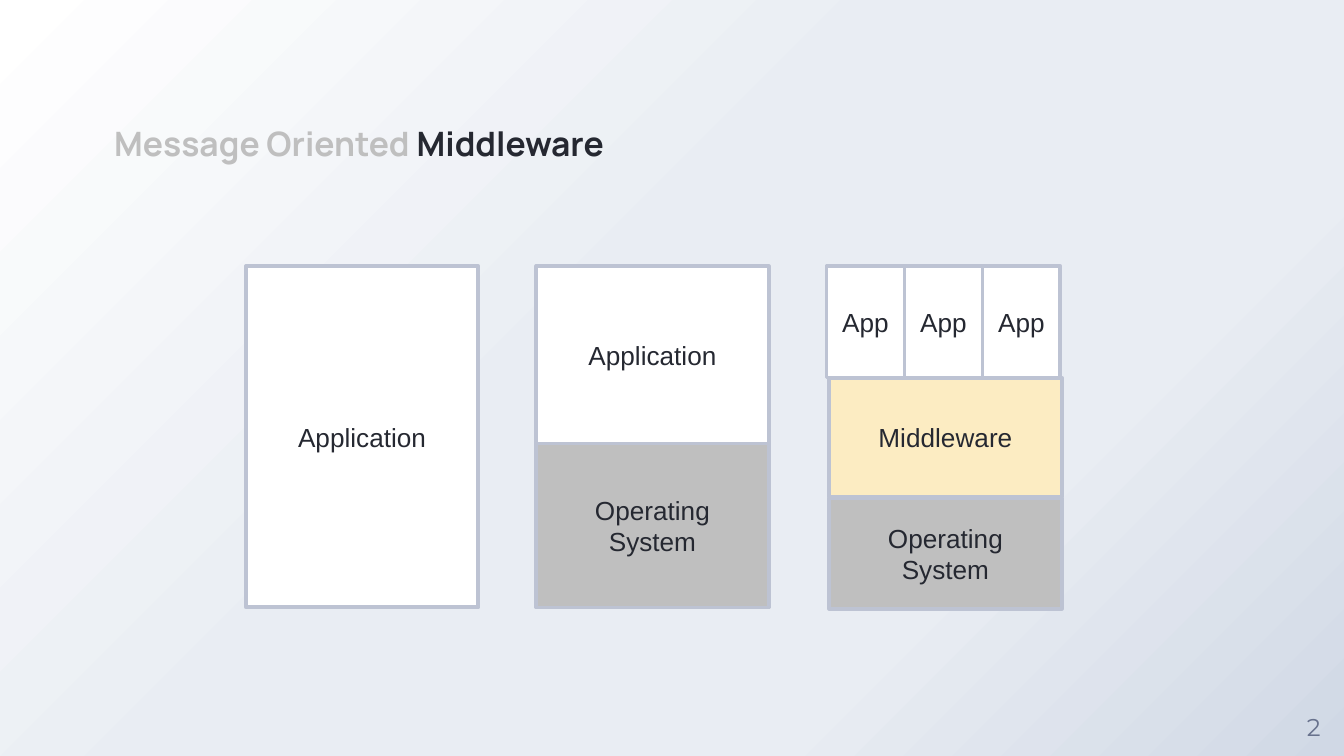
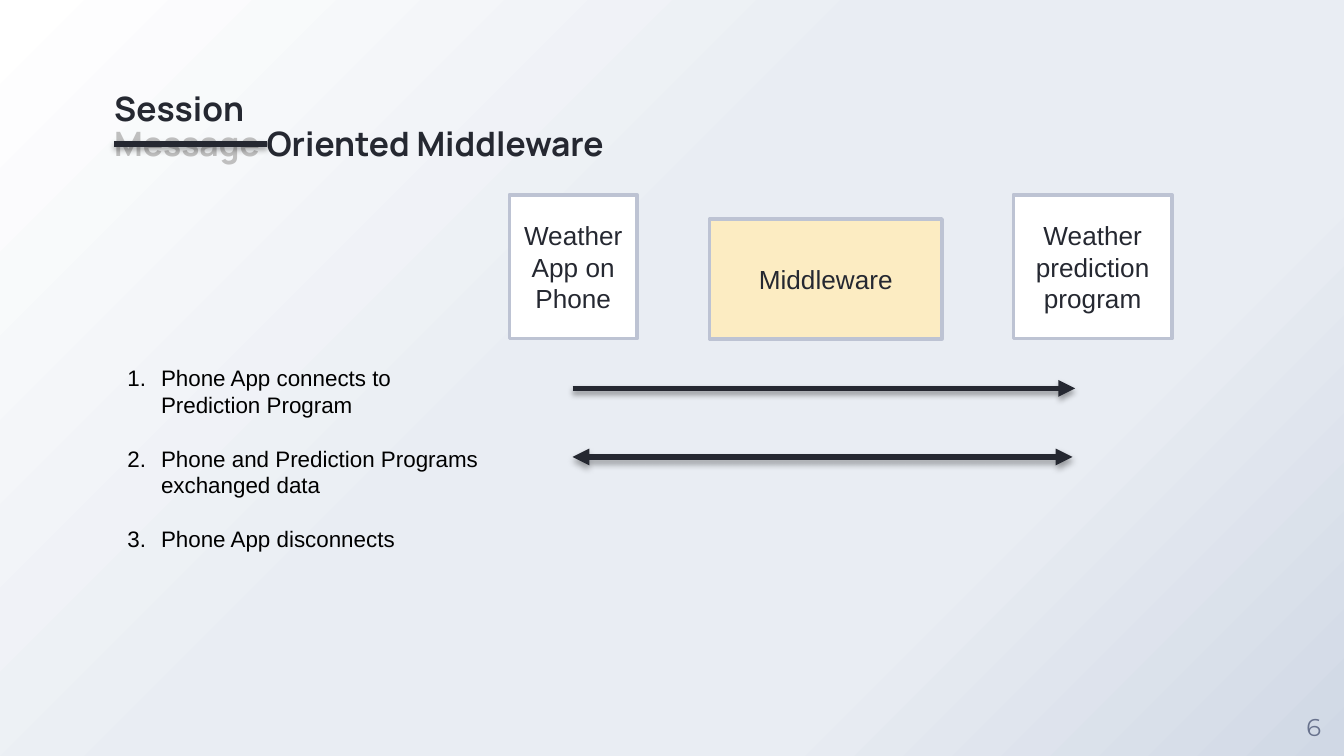
from dataclasses import dataclass

from pptx import Presentation
from pptx.dml.color import RGBColor
from pptx.enum.shapes import MSO_CONNECTOR, MSO_SHAPE
from pptx.enum.text import MSO_ANCHOR, MSO_AUTO_SIZE, PP_ALIGN
from pptx.oxml import parse_xml
from pptx.oxml.ns import nsdecls, qn
from pptx.util import Inches, Pt


@dataclass(frozen=True)
class Theme:
    ink: str = "252831"
    black: str = "000000"
    grey: str = "BFBFBF"
    white: str = "FFFFFF"
    cream: str = "FCECC2"
    outline: str = "BDC3D3"
    page_number: str = "68728D"
    title_size: float = 18
    box_size: float = 14
    number_size: float = 13
    list_size: float = 12
    title_font: str = "Manrope"
    number_font: str = "Montserrat"
    body_font: str = "Arial"


THEME = Theme()
BACKGROUND = ((0, "FFFFFF"), (44, "E9EDF3"), (72, "E9EDF3"), (100, "D0D8E5"))
COLUMNS, ROWS = 100, 56.25  # square cells, a tenth of an inch wide


def grid(*cells):
    """Turn grid cells into slide lengths."""
    return [Inches(cell / 10) for cell in cells]


def write(para, text, size=THEME.box_size, color=THEME.ink,
          font=THEME.body_font, bold=False):
    """Add one formatted span to a paragraph."""
    span = para.add_run()
    span.text = text
    span.font.size = Pt(size)
    span.font.name = font
    span.font.bold = bold
    span.font.color.rgb = RGBColor.from_string(color)


# Deck and shared background
deck = Presentation()
deck.slide_width, deck.slide_height = grid(COLUMNS, ROWS)
master = deck.slide_master
master.background.fill.gradient()
gradient = master.element.find(".//" + qn("a:gradFill"))
stops = "".join(
    f'<a:gs pos="{share * 1000}"><a:srgbClr val="{color}"/></a:gs>'
    for share, color in BACKGROUND)
gradient.getparent().replace(gradient, parse_xml(
    f'<a:gradFill {nsdecls("a")} rotWithShape="1"><a:gsLst>{stops}</a:gsLst>'
    '<a:path path="circle"><a:fillToRect r="100000" b="100000"/></a:path>'
    '</a:gradFill>'))

# Layers slide: three stacks with shared widths and edges
stack_width, stack_top, stack_height = 17.3, 19.8, 25.4
first, second, third = 18.3, 39.9, 61.7
app_left, app_width, app_height = 61.5, 5.8, 8.3
layer_boxes = [
    ("Application", THEME.white, first, stack_top, stack_width, stack_height),
    ("Application", THEME.white, second, stack_top, stack_width, 13.2),
    ("Operating System", THEME.grey, second, 33, stack_width, 12.2),
    ("Operating System", THEME.grey, third, 37.1, stack_width, 8.2),
    ("Middleware", THEME.cream, third, 28.1, stack_width, 8.9),
] + [("App", THEME.white, app_left + app * app_width, stack_top,
      app_width, app_height) for app in range(3)]

# Session slide: parties above, messages below
party_top, party_height, message_left = 14.5, 10.7, 42.6
session_boxes = [
    ("Weather App on Phone", THEME.white, 37.9, party_top, 9.5, party_height),
    ("Weather prediction program", THEME.white,
     75.4, party_top, 11.8, party_height),
    ("Middleware", THEME.cream, 52.8, 16.3, stack_width, 8.9),
]
session_lines = [  # start, end, arrowheads
    ((8.5, 10.7), (19.9, 10.7), ()),
    ((message_left, 28.9), (80, 28.9), ("tailEnd",)),
    ((message_left, 34), (79.8, 34), ("headEnd", "tailEnd")),
]
session_steps = ["Phone App connects to Prediction Program",
                 "Phone and Prediction Programs exchanged data",
                 "Phone App disconnects"]

# Each slide: number, title lines of spans, boxes, lines, steps
slides = [
    ("2", [[("Message Oriented ", THEME.grey), ("Middleware", THEME.ink)]],
     layer_boxes, [], []),
    ("6", [[("Session", THEME.ink)],
           [("Message ", THEME.grey), ("Oriented Middleware", THEME.ink)]],
     session_boxes, session_lines, session_steps),
]

for number, title_lines, boxes, lines, steps in slides:
    page = deck.slides.add_slide(deck.slide_layouts.get_by_name("Title Only"))

    # Title and page number
    title = page.shapes.title
    title.left, title.top, title.width, title.height = grid(8.5, 1.5, 39.2, 10.7)
    number_box = page.shapes.add_textbox(*grid(95.5, 51.8, 4.5, 4.5))
    for holder, anchor, align in (
            (title, MSO_ANCHOR.BOTTOM, PP_ALIGN.LEFT),
            (number_box, MSO_ANCHOR.MIDDLE, PP_ALIGN.CENTER)):
        frame = holder.text_frame
        frame.word_wrap = True
        frame.auto_size = MSO_AUTO_SIZE.NONE
        frame.vertical_anchor = anchor
        frame.margin_left = frame.margin_right = 0
        frame.margin_top = frame.margin_bottom = 0
        frame.paragraphs[0].alignment = align
    para = title.text_frame.paragraphs[0]
    para.line_spacing = 0.87
    for row, spans in enumerate(title_lines):
        if row:
            para.add_line_break()
        for text, color in spans:
            write(para, text, size=THEME.title_size, color=color,
                  font=THEME.title_font, bold=True)
    write(number_box.text_frame.paragraphs[0], number, size=THEME.number_size,
          color=THEME.page_number, font=THEME.number_font)

    # Boxes
    for text, fill, *cells in boxes:
        box = page.shapes.add_shape(MSO_SHAPE.RECTANGLE, *grid(*cells))
        box.shadow.inherit = False
        box.fill.solid()
        box.fill.fore_color.rgb = RGBColor.from_string(fill)
        box.line.color.rgb = RGBColor.from_string(THEME.outline)
        box.line.width = Pt(2)
        box.text_frame.word_wrap = True
        para = box.text_frame.paragraphs[0]
        para.alignment = PP_ALIGN.CENTER
        write(para, text)

    # Strike-out and message arrows, with a soft shadow
    for start, end, heads in lines:
        line = page.shapes.add_connector(
            MSO_CONNECTOR.STRAIGHT, *grid(*start, *end))
        line.line.color.rgb = RGBColor.from_string(THEME.ink)
        line.line.width = Pt(3)
        for head in heads:
            line.line._get_or_add_ln().append(parse_xml(
                f'<a:{head} {nsdecls("a")} type="triangle"/>'))
        line._element.spPr.append(parse_xml(
            f'<a:effectLst {nsdecls("a")}><a:outerShdw blurRad="{Pt(3.1)}" '
            f'dist="{Pt(1.8)}" dir="5400000" rotWithShape="0">'
            f'<a:srgbClr val="{THEME.black}"><a:alpha val="35000"/></a:srgbClr>'
            '</a:outerShdw></a:effectLst>'))

    # Numbered steps
    if steps:
        step_box = page.shapes.add_textbox(*grid(8.5, 26.6, 28.3, 15.1))
        frame = step_box.text_frame
        frame.word_wrap = True
        frame.auto_size = MSO_AUTO_SIZE.SHAPE_TO_FIT_TEXT
        for index, step in enumerate(steps):
            para = frame.add_paragraph() if index else frame.paragraphs[0]
            if index:
                para.space_before = Pt(1.2 * THEME.list_size)
            write(para, step, size=THEME.list_size, color=THEME.black)
            properties = para._p.get_or_add_pPr()
            properties.set("marL", str(Inches(0.25)))
            properties.set("indent", str(-Inches(0.25)))
            properties.append(parse_xml(
                f'<a:buAutoNum {nsdecls("a")} type="arabicPeriod"/>'))

deck.save("out.pptx")
